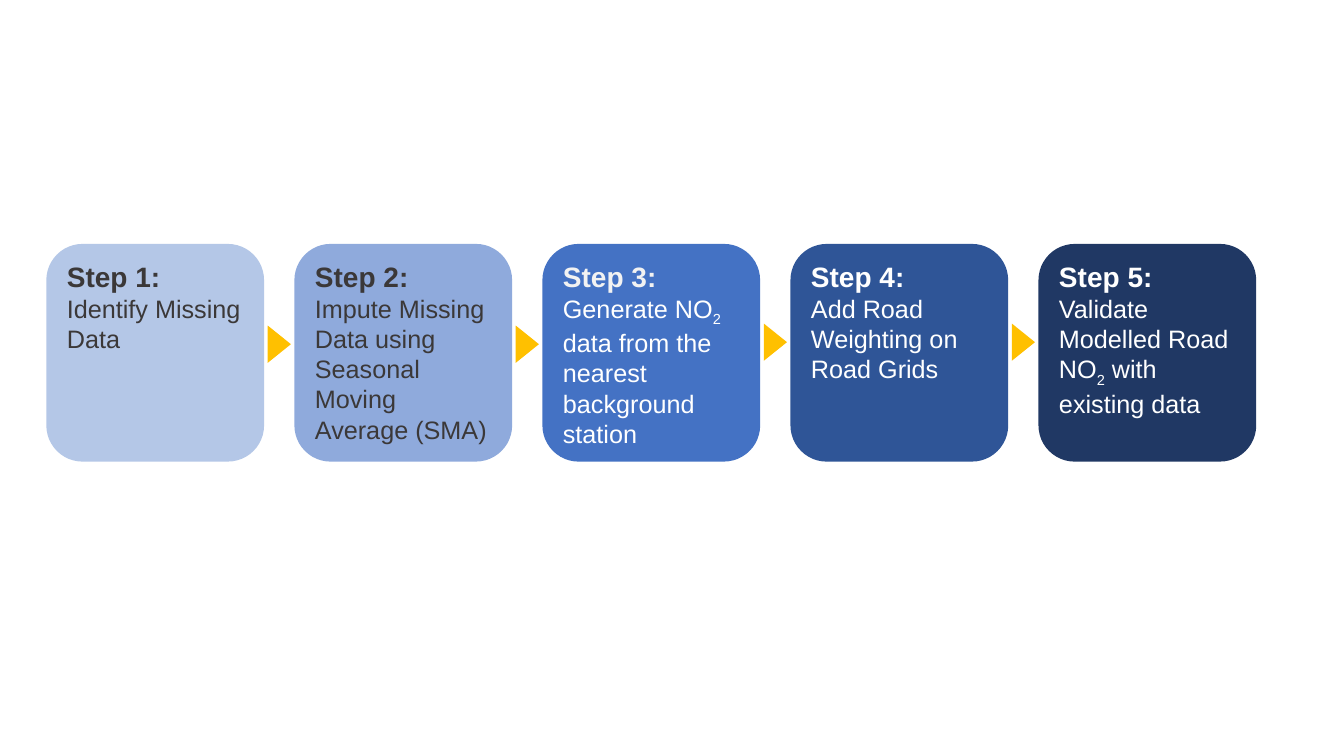
import pptx
import pptx.dml.color
import pptx.enum.shapes
import pptx.enum.text
import pptx.util

Inches = pptx.util.Inches
RGBColor = pptx.dml.color.RGBColor
SHAPE = pptx.enum.shapes.MSO_SHAPE

DARK = RGBColor(0x3B, 0x38, 0x38)
PALE = RGBColor(0xF2, 0xF2, 0xF2)
WHITE = RGBColor(0xFF, 0xFF, 0xFF)
GOLD = RGBColor(0xFF, 0xC0, 0x00)
BLUES = [
    RGBColor(0xB4, 0xC7, 0xE7),
    RGBColor(0x8F, 0xAA, 0xDC),
    RGBColor(0x44, 0x72, 0xC4),
    RGBColor(0x2F, 0x55, 0x97),
    RGBColor(0x20, 0x38, 0x64),
]

# Title colour, body colour, body text; "_" sets off a subscript
STEPS = [
    (DARK, DARK, "Identify Missing Data"),
    (DARK, DARK, "Impute Missing Data using Seasonal Moving Average (SMA)"),
    (PALE, WHITE, "Generate NO_2_ data from the nearest background station"),
    (WHITE, WHITE, "Add Road Weighting on Road Grids"),
    (WHITE, WHITE, "Validate Modelled Road NO_2_ with existing data"),
]

LEFT, TOP, SIDE, PITCH = 0.46, 2.42, 2.16, 2.46
ARROW_W, ARROW_H = 0.37, 0.23
ARROW_TOPS = [3.3, 3.3, 3.28, 3.28]


def add_filled(s, kind, x, y, w, h, color):
    sp = s.shapes.add_shape(kind, Inches(x), Inches(y), Inches(w), Inches(h))
    sp.shadow.inherit = False
    sp.fill.solid()
    sp.fill.fore_color.rgb = color
    sp.line.fill.background()
    return sp


def add_run(p, text, size, color, bold=False):
    r = p.add_run()
    r.text = text
    r.font.name = "Arial"
    r.font.size = pptx.util.Pt(size)
    r.font.bold = bold
    r.font.color.rgb = color
    return r


def add_step(s, x, y, side, number, fill, title_color, body_color, body):
    sp = add_filled(s, SHAPE.ROUNDED_RECTANGLE, x, y, side, side, fill)
    tf = sp.text_frame
    tf.word_wrap = True
    tf.vertical_anchor = pptx.enum.text.MSO_ANCHOR.TOP
    title = tf.paragraphs[0]
    add_run(title, f"Step {number}:", 20, title_color, bold=True)
    p = tf.add_paragraph()
    for i, part in enumerate(body.split("_")):
        r = add_run(p, part, 18, body_color)
        if i % 2:
            r.font._element.set("baseline", "-25000")
    for p in tf.paragraphs:
        p.alignment = pptx.enum.text.PP_ALIGN.LEFT


def add_arrow(s, center_x, y):
    """Triangle turned to point right, centred on center_x."""
    sp = add_filled(s, SHAPE.ISOSCELES_TRIANGLE, center_x - ARROW_W / 2, y,
                    ARROW_W, ARROW_H, GOLD)
    sp.rotation = 90


def add_process(s, x, y, side, pitch):
    """Row of step boxes with an arrow in each gap."""
    for i, (fill, step) in enumerate(zip(BLUES, STEPS)):
        add_step(s, x + i * pitch, y, side, i + 1, fill, *step)
    for i, arrow_top in enumerate(ARROW_TOPS):
        add_arrow(s, x + i * pitch + (side + pitch) / 2, arrow_top)


def main():
    prs = pptx.Presentation()
    prs.slide_width, prs.slide_height = Inches(13.33), Inches(7.5)
    s = prs.slides.add_slide(prs.slide_layouts[6])
    add_process(s, LEFT, TOP, SIDE, PITCH)
    prs.save("out.pptx")


if __name__ == "__main__":
    main()
